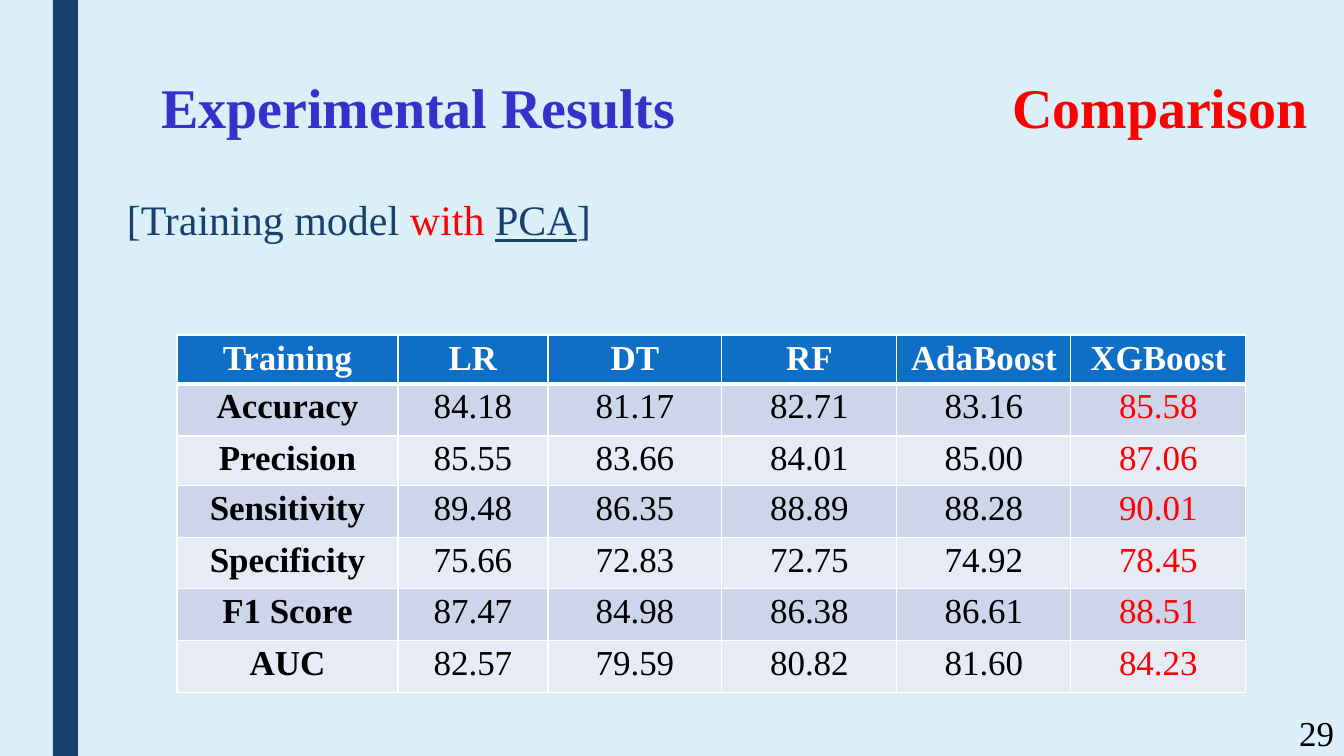
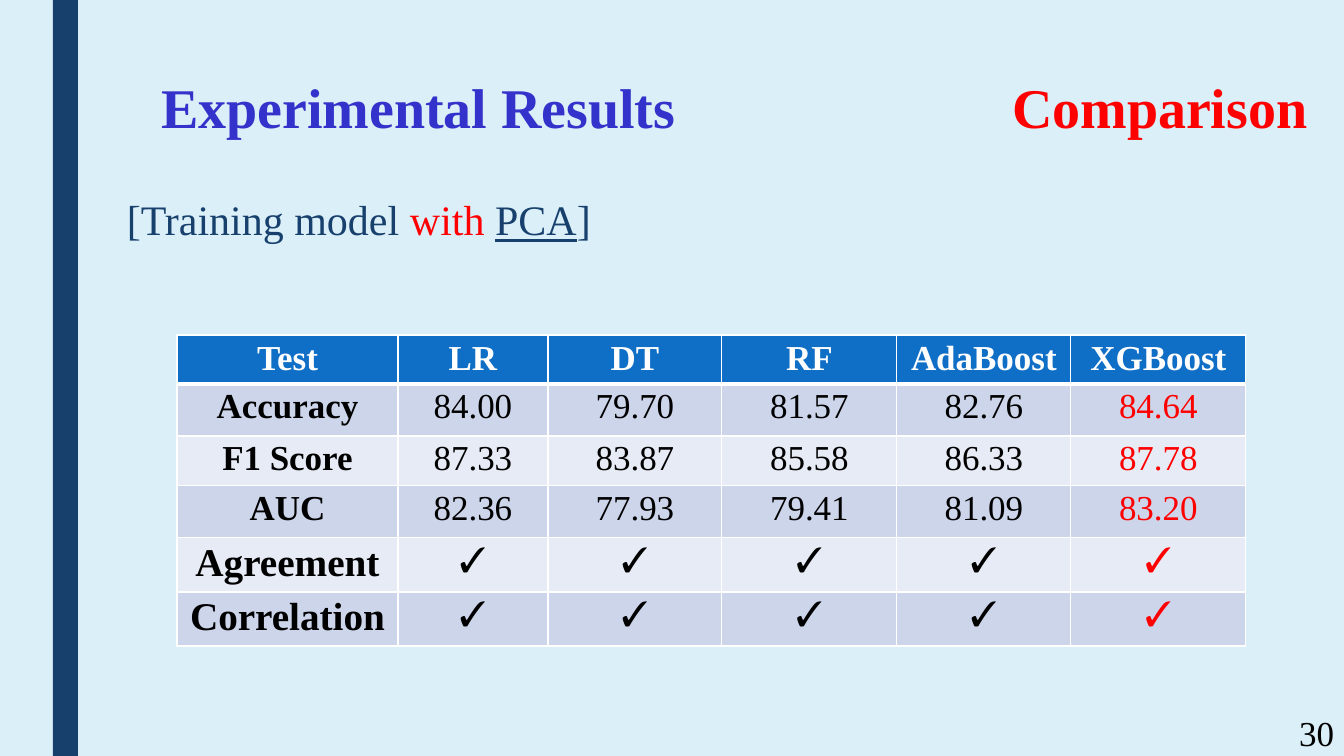
from dataclasses import dataclass

from lxml import etree
from pptx import Presentation
from pptx.dml.color import RGBColor
from pptx.enum.shapes import MSO_SHAPE
from pptx.enum.text import MSO_ANCHOR, MSO_AUTO_SIZE, PP_ALIGN
from pptx.oxml.ns import qn
from pptx.util import Emu, Pt

RECT = MSO_SHAPE.RECTANGLE
TOP, MIDDLE = MSO_ANCHOR.TOP, MSO_ANCHOR.MIDDLE
LEFT, CENTER, RIGHT = PP_ALIGN.LEFT, PP_ALIGN.CENTER, PP_ALIGN.RIGHT
NO_FIT = MSO_AUTO_SIZE.NONE

WIDTH, HEIGHT = 1344, 756
SCALE = 12192000 / WIDTH

FONT = "Times New Roman"
SKY = RGBColor(0xDB, 0xEF, 0xF9)
NAVY = RGBColor(0x17, 0x40, 0x6D)
INDIGO = RGBColor(0x33, 0x33, 0xCC)
BLUE = RGBColor(0x0F, 0x6F, 0xC6)
RED = RGBColor(0xFF, 0x00, 0x00)
BLACK = RGBColor(0x00, 0x00, 0x00)
WHITE = RGBColor(0xFF, 0xFF, 0xFF)
STRIPES = (RGBColor(0xCC, 0xD5, 0xEA), RGBColor(0xE7, 0xEB, 0xF5))

MODELS = ("LR", "DT", "RF", "AdaBoost", "XGBoost")
COLS = (221, 150, 174, 175, 174, 175)
HEAD = 47
TICKS = "✓ ✓ ✓ ✓ ✓"


@dataclass(frozen=True)
class Run:
    text: str
    color: RGBColor
    bold: bool = False
    under: bool = False


@dataclass(frozen=True)
class Row:
    name: str
    values: str
    height: int
    size: int = 25


@dataclass(frozen=True)
class Page:
    number: int
    phase: str
    rows: tuple[Row, ...]


TITLE = (Run("Experimental Results", INDIGO, True), Run("\tComparison", RED, True))
TOPIC = (
    Run("[Training model ", NAVY),
    Run("with ", RED),
    Run("PCA", NAVY, under=True),
    Run("]", NAVY),
)

PAGES = (
    Page(29, "Training", (
        Row("Accuracy", "84.18 81.17 82.71 83.16 85.58", 52),
        Row("Precision", "85.55 83.66 84.01 85.00 87.06", 50),
        Row("Sensitivity", "89.48 86.35 88.89 88.28 90.01", 52),
        Row("Specificity", "75.66 72.83 72.75 74.92 78.45", 51),
        Row("F1 Score", "87.47 84.98 86.38 86.61 88.51", 52),
        Row("AUC", "82.57 79.59 80.82 81.60 84.23", 52),
    )),
    Page(30, "Test", (
        Row("Accuracy", "84.00 79.70 81.57 82.76 84.64", 52),
        Row("F1 Score", "87.33 83.87 85.58 86.33 87.78", 50),
        Row("AUC", "82.36 77.93 79.41 81.09 83.20", 52),
        Row("Agreement", TICKS, 53, 28),
        Row("Correlation", TICKS, 54, 28),
    )),
)


def px(count: int) -> Emu:
    return Emu(round(count * SCALE))


def write(para, runs: tuple[Run, ...], size: int, align) -> None:
    para.alignment = align
    for item in runs:
        run = para.add_run()
        run.text = item.text
        font = run.font
        font.name, font.size = FONT, Pt(size)
        font.bold, font.underline = item.bold, item.under
        font.color.rgb = item.color


def add_band(slide) -> None:
    band = slide.shapes.add_shape(RECT, px(53), 0, px(25), px(HEIGHT))
    band.shadow.inherit = False
    band.fill.solid()
    band.fill.fore_color.rgb = NAVY
    band.line.fill.background()


def add_title(slide) -> None:
    """Fill the title, its second part starting at a tab stop."""
    title = slide.shapes.title
    title.left, title.top, title.width, title.height = map(px, (151, 76, 1173, 100))
    frame = title.text_frame
    frame.vertical_anchor, frame.auto_size = TOP, NO_FIT
    para = frame.paragraphs[0]
    write(para, TITLE, 40, LEFT)
    para.line_spacing = 0.89
    tabs = etree.SubElement(para._p.get_or_add_pPr(), qn("a:tabLst"))
    etree.SubElement(tabs, qn("a:tab"), pos=str(px(851)), algn="l")


def add_text(slide, box: tuple[int, ...], runs: tuple[Run, ...], size: int,
             align=LEFT, anchor=TOP, spacing: float = 1.0) -> None:
    frame = slide.shapes.add_textbox(*map(px, box)).text_frame
    frame.word_wrap = True
    frame.vertical_anchor = anchor
    para = frame.paragraphs[0]
    write(para, runs, size, align)
    para.line_spacing = spacing


def add_edges(cell, above: int, below: int) -> None:
    """Draw white borders, with the top and bottom widths in points."""
    props = cell._tc.get_or_add_tcPr()
    for side, width in zip("LRTB", (1, 1, above, below)):
        line = etree.SubElement(props, qn(f"a:ln{side}"), w=str(Pt(width)))
        fill = etree.SubElement(line, qn("a:solidFill"))
        etree.SubElement(fill, qn("a:srgbClr"), val=str(WHITE))


def add_grid(slide, page: Page) -> None:
    heights = [HEAD] + [row.height for row in page.rows]
    box = map(px, (177, 335, sum(COLS), sum(heights)))
    grid = slide.shapes.add_table(len(heights), len(COLS), *box).table
    grid.horz_banding = False
    for col, width in zip(grid.columns, COLS):
        col.width = px(width)
    for line, height in zip(grid.rows, heights):
        line.height = px(height)

    def put(r: int, c: int, run: Run, size: int, fill: RGBColor) -> None:
        cell = grid.cell(r, c)
        cell.margin_top, cell.margin_bottom = px(4), px(3)
        add_edges(cell, 3 if r == 1 else 1, 3 if r == 0 else 1)
        cell.fill.solid()
        cell.fill.fore_color.rgb = fill
        write(cell.text_frame.paragraphs[0], (run,), size, CENTER)

    for c, name in enumerate((page.phase, *MODELS)):
        put(0, c, Run(name, WHITE, True), 25, BLUE)
    for r, row in enumerate(page.rows, 1):
        fill = STRIPES[(r - 1) % 2]
        put(r, 0, Run(row.name, BLACK, True), row.size, fill)
        for c, value in enumerate(row.values.split(), 1):
            color = RED if c == len(MODELS) else BLACK
            put(r, c, Run(value, color), 25, fill)


def main() -> None:
    deck = Presentation()
    deck.slide_width, deck.slide_height = px(WIDTH), px(HEIGHT)
    back = deck.slide_master.background.fill
    back.solid()
    back.fore_color.rgb = SKY
    for page in PAGES:
        slide = deck.slides.add_slide(deck.slide_layouts[5])
        add_band(slide)
        add_title(slide)
        add_text(slide, (117, 193, 1227, 60), TOPIC, 30, spacing=0.94)
        add_grid(slide, page)
        number = (Run(str(page.number), BLACK),)
        add_text(slide, (1260, 713, 84, 40), number, 25, RIGHT, MIDDLE)
    deck.save("out.pptx")


if __name__ == "__main__":
    main()
